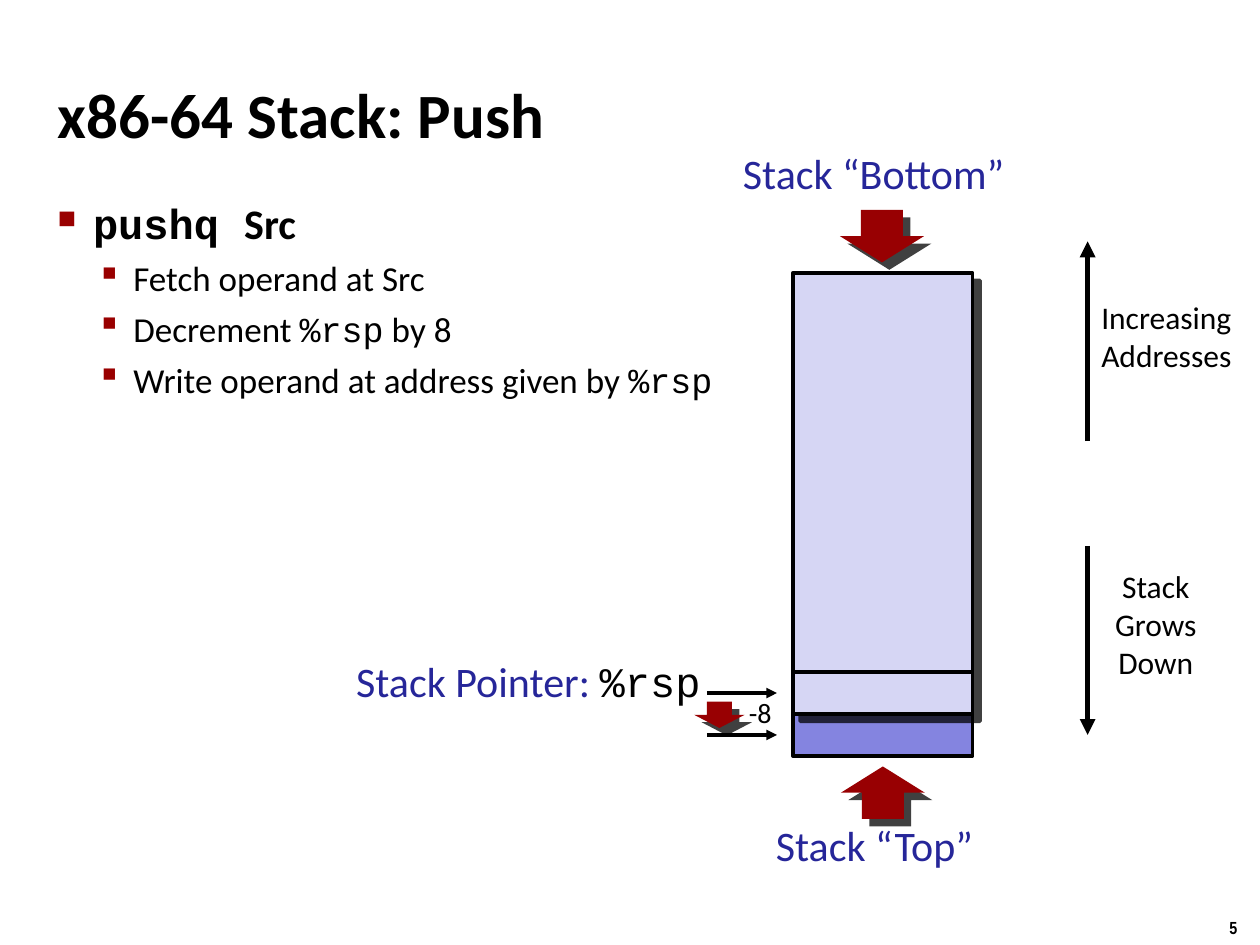
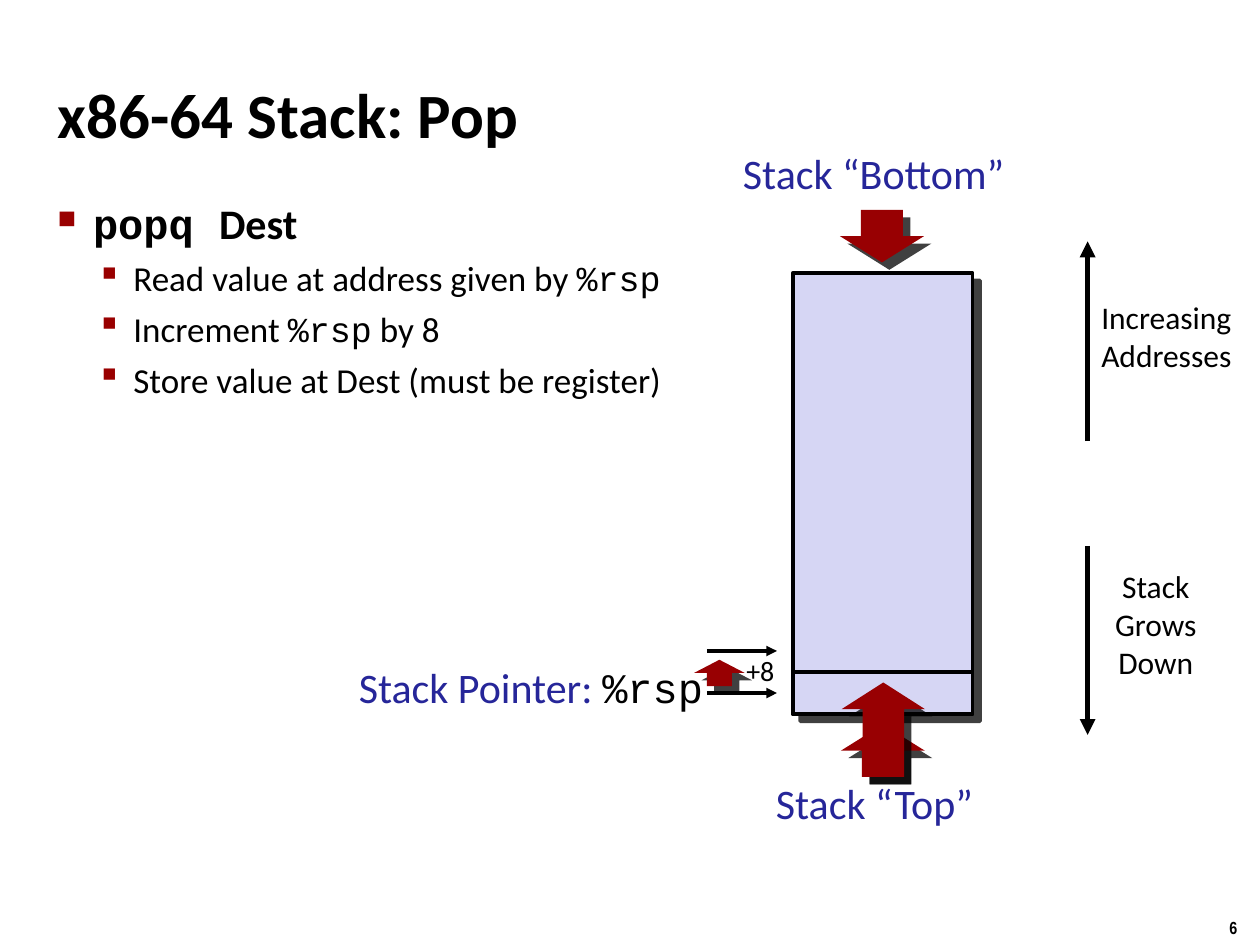
"""Build two slides that explain pushing to and popping from the x86-64 stack."""
from dataclasses import dataclass

from lxml import etree
from pptx import Presentation
from pptx.dml.color import RGBColor
from pptx.enum.shapes import MSO_CONNECTOR, MSO_SHAPE
from pptx.enum.text import MSO_ANCHOR, PP_ALIGN
from pptx.oxml.ns import qn
from pptx.util import Pt

BLACK = RGBColor(0x00, 0x00, 0x00)
NAVY = RGBColor(0x26, 0x26, 0x99)
ARROW_RED = RGBColor(0x98, 0x00, 0x02)
BULLET_RED = RGBColor(0x99, 0x00, 0x00)
PALE = RGBColor(0xD6, 0xD6, 0xF4)
VIOLET = RGBColor(0x84, 0x84, 0xE0)

SANS, MONO, NARROW, SYMBOLS = "Calibri", "Courier New", "Arial Narrow", "Wingdings"
LEFT, CENTER, RIGHT = PP_ALIGN.LEFT, PP_ALIGN.CENTER, PP_ALIGN.RIGHT
MIDDLE = MSO_ANCHOR.MIDDLE
RECTANGLE, UP, DOWN = MSO_SHAPE.RECTANGLE, MSO_SHAPE.UP_ARROW, MSO_SHAPE.DOWN_ARROW
STRAIGHT = MSO_CONNECTOR.STRAIGHT
TITLE_ONLY = 5

CELL = 24
STACK_LEFT, STACK_WIDTH = 453, 102.8
STACK_TOP, STACK_HEIGHT = 156, 252
STACK_END = STACK_TOP + STACK_HEIGHT
AXIS = 621.5


@dataclass(frozen=True)
class Span:
    text: str
    font: str = SANS
    color: RGBColor = BLACK


@dataclass(frozen=True)
class Box:
    left: float
    top: float
    width: float
    height: float


@dataclass(frozen=True)
class Level:
    size: float
    bold: bool
    margin: float
    hanging: float
    before: float
    bullet: str
    bullet_percent: int


@dataclass(frozen=True)
class Lesson:
    number: str
    title: str
    heading: list[Span]
    steps: list[list[Span]]
    pointer: Box
    marker_top: float
    change: str
    change_arrow: MSO_SHAPE
    top_arrow: float


HEADING = Level(24, True, 20.16, 20.16, 6, "n", 60)
STEP = Level(20, False, 43.2, 18.72, 5, "§", 110)
RSP = Span("%rsp", MONO)

PUSH = Lesson(
    "5", "x86-64 Stack: Push",
    [Span("pushq ", MONO), Span("Src")],
    [[Span("Fetch operand at Src")],
     [Span("Decrement "), RSP, Span(" by 8")],
     [Span("Write operand at address given by "), RSP]],
    Box(200, 374.4, 200.3, 29), 396, "-8", DOWN, 438)
POP = Lesson(
    "6", "x86-64 Stack: Pop",
    [Span("popq ", MONO), Span("Dest")],
    [[Span("Read value at address given by "), RSP],
     [Span("Increment "), RSP, Span(" by 8")],
     [Span("Store value at Dest (must be register)")]],
    Box(201.5, 378, 200.3, 29), 372, "+8", UP, 414)


def place(shape, box: Box) -> None:
    """Move and size a shape."""
    shape.left, shape.top = Pt(box.left), Pt(box.top)
    shape.width, shape.height = Pt(box.width), Pt(box.height)


def set_insets(frame, inset: float) -> None:
    """Give all four sides of a text frame the same inset."""
    frame.margin_left = frame.margin_right = Pt(inset)
    frame.margin_top = frame.margin_bottom = Pt(inset)


def style_run(run, size: float, span: Span, bold: bool = False) -> None:
    """Apply the font of a span to a run."""
    run.font.name, run.font.size, run.font.bold = span.font, Pt(size), bold
    run.font.color.rgb = span.color


def add_spans(para, spans: list[Span], size: float, bold: bool = False) -> None:
    """Append one formatted run for each span."""
    for span in spans:
        run = para.add_run()
        run.text = span.text
        style_run(run, size, span, bold)


def add_label(page, box: Box, lines: list[list[Span]], size: float, align=CENTER,
              wrap: bool = False, inset: float = 0, bold: bool = False) -> None:
    """Add a text box with one paragraph for each line."""
    shape = page.shapes.add_textbox(0, 0, 0, 0)
    place(shape, box)
    frame = shape.text_frame
    frame.word_wrap = wrap
    set_insets(frame, inset)
    for index, spans in enumerate(lines):
        para = frame.add_paragraph() if index else frame.paragraphs[0]
        para.alignment = align
        add_spans(para, spans, size, bold)


def add_shadow(shape) -> None:
    """Add a hard diagonal shadow."""
    effects = shape._element.spPr.find(qn("a:effectLst"))
    shadow = etree.SubElement(effects, qn("a:outerShdw"), dist=str(Pt(6)),
                              dir="2700000", algn="ctr", rotWithShape="0")
    color = etree.SubElement(shadow, qn("a:srgbClr"), val=str(BLACK))
    etree.SubElement(color, qn("a:alpha"), val="75000")


def add_block(page, kind, box: Box, fill: RGBColor, outlined: bool, shadowed: bool):
    """Add a filled preset shape."""
    shape = page.shapes.add_shape(kind, 0, 0, 0, 0)
    place(shape, box)
    shape.shadow.inherit = False
    shape.fill.solid()
    shape.fill.fore_color.rgb = fill
    if outlined:
        shape.line.color.rgb = BLACK
        shape.line.width = Pt(2)
    else:
        shape.line.fill.background()
    if shadowed:
        add_shadow(shape)
    return shape


def add_arrow(page, kind, box: Box):
    """Add a red block arrow with a shadow."""
    return add_block(page, kind, box, ARROW_RED, False, True)


def add_cell(page, top: float, fill: RGBColor) -> None:
    """Add one eight-byte cell of the stack."""
    add_block(page, RECTANGLE, Box(STACK_LEFT, top, STACK_WIDTH, CELL), fill, True, False)


def add_line(page, start: tuple[float, float], end: tuple[float, float],
             width: float, head: bool = True) -> None:
    """Add a black line, with an arrowhead at its end if asked."""
    line = page.shapes.add_connector(STRAIGHT, Pt(start[0]), Pt(start[1]),
                                     Pt(end[0]), Pt(end[1]))
    line.line.color.rgb = BLACK
    line.line.width = Pt(width)
    properties = line._element.spPr
    if head:
        etree.SubElement(properties.find(qn("a:ln")), qn("a:tailEnd"), type="triangle")
    etree.SubElement(properties, qn("a:effectLst"))


def add_bullet(para, spans: list[Span], level: Level) -> None:
    """Format a paragraph as a bullet of the given level."""
    para.space_before = Pt(level.before)
    add_spans(para, spans, level.size, level.bold)
    properties = para._p.get_or_add_pPr()
    properties.set("marL", str(Pt(level.margin)))
    properties.set("indent", str(-Pt(level.hanging)))
    color = etree.SubElement(properties, qn("a:buClr"))
    etree.SubElement(color, qn("a:srgbClr"), val=str(BULLET_RED))
    etree.SubElement(properties, qn("a:buSzPct"), val=str(level.bullet_percent * 1000))
    etree.SubElement(properties, qn("a:buFont"), typeface=SYMBOLS, charset="2")
    etree.SubElement(properties, qn("a:buChar"), char=level.bullet)


def add_body(page, lesson: Lesson) -> None:
    """Add the instruction and its steps."""
    shape = page.shapes.add_textbox(0, 0, 0, 0)
    place(shape, Box(30, 110, 660, 428))
    frame = shape.text_frame
    frame.word_wrap = True
    set_insets(frame, 3)
    add_bullet(frame.paragraphs[0], lesson.heading, HEADING)
    for spans in lesson.steps:
        para = frame.add_paragraph()
        para.level = 1
        add_bullet(para, spans, STEP)


def add_title(page, text: str) -> None:
    """Fill and format the title placeholder."""
    title = page.shapes.title
    place(title, Box(30, 20, 660, 90))
    frame = title.text_frame
    frame.text = text
    frame.word_wrap = True
    frame.vertical_anchor = MIDDLE
    set_insets(frame, 3)
    para = frame.paragraphs[0]
    para.alignment = LEFT
    style_run(para.runs[0], 36, Span(text), True)


def add_stack(page) -> None:
    """Add the stack, its bottom label and the two direction lines."""
    add_block(page, RECTANGLE, Box(STACK_LEFT, STACK_TOP, STACK_WIDTH, STACK_HEIGHT),
              PALE, True, True)
    add_label(page, Box(419, 84, 160.5, 35), [[Span("Stack “Bottom”", color=NAVY)]], 24)
    add_arrow(page, DOWN, Box(480, 120, 48, 30))
    add_line(page, (AXIS, 252), (AXIS, 138), 3)
    add_label(page, Box(626, 170.5, 81, 50), [[Span("Increasing")], [Span("Addresses")]], 18)
    add_line(page, (AXIS, 312), (AXIS, 420), 3)
    add_label(page, Box(628.5, 324, 64, 72), [[Span("Stack Grows")], [Span("Down")]], 18,
              wrap=True)


def add_pointer(page, lesson: Lesson) -> None:
    """Add the stack pointer, its two positions and the change between them."""
    add_label(page, lesson.pointer, [[Span("Stack Pointer: ", color=NAVY), RSP]], 24, RIGHT)
    for top in (lesson.marker_top, lesson.marker_top + CELL):
        add_line(page, (404, top), (444, top), 2)
    add_label(page, Box(419.5, lesson.marker_top - 1.4, 30, 25), [[Span(lesson.change)]],
              16, inset=3)
    add_arrow(page, lesson.change_arrow, Box(396.7, lesson.marker_top + 5, 28.8, 15))


def add_top(page, lesson: Lesson) -> None:
    """Add the arrow and label for the top of the stack."""
    add_arrow(page, UP, Box(480.5, lesson.top_arrow, 48, 30))
    add_label(page, Box(438.5, lesson.top_arrow + 30, 122.5, 35),
              [[Span("Stack “Top”", color=NAVY)]], 24)


def add_page(deck, lesson: Lesson):
    """Add a slide with its title, number and body."""
    page = deck.slides.add_slide(deck.slide_layouts[TITLE_ONLY])
    add_title(page, lesson.title)
    add_label(page, Box(692.5, 520.5, 24.5, 19.5), [[Span(lesson.number, NARROW)]], 10,
              inset=3.6, bold=True)
    add_body(page, lesson)
    return page


def add_push(deck) -> None:
    """Add the slide where a cell joins the stack."""
    page = add_page(deck, PUSH)
    add_cell(page, STACK_END, VIOLET)
    add_stack(page)
    divider = STACK_END - CELL
    add_line(page, (STACK_LEFT, divider), (STACK_LEFT + STACK_WIDTH, divider), 2, False)
    add_pointer(page, PUSH)
    add_top(page, PUSH)


def add_pop(deck) -> None:
    """Add the slide where a cell leaves the stack."""
    page = add_page(deck, POP)
    add_top(page, POP)
    add_stack(page)
    add_pointer(page, POP)
    add_cell(page, STACK_END - CELL, PALE)
    arrow = add_arrow(page, UP, Box(481, 390, 47.5, 54))
    arrow.adjustments[1] = 0.32


def main() -> None:
    """Build and save the deck."""
    deck = Presentation()
    deck.slide_width, deck.slide_height = Pt(720), Pt(540)
    add_push(deck)
    add_pop(deck)
    deck.save("out.pptx")


main()
